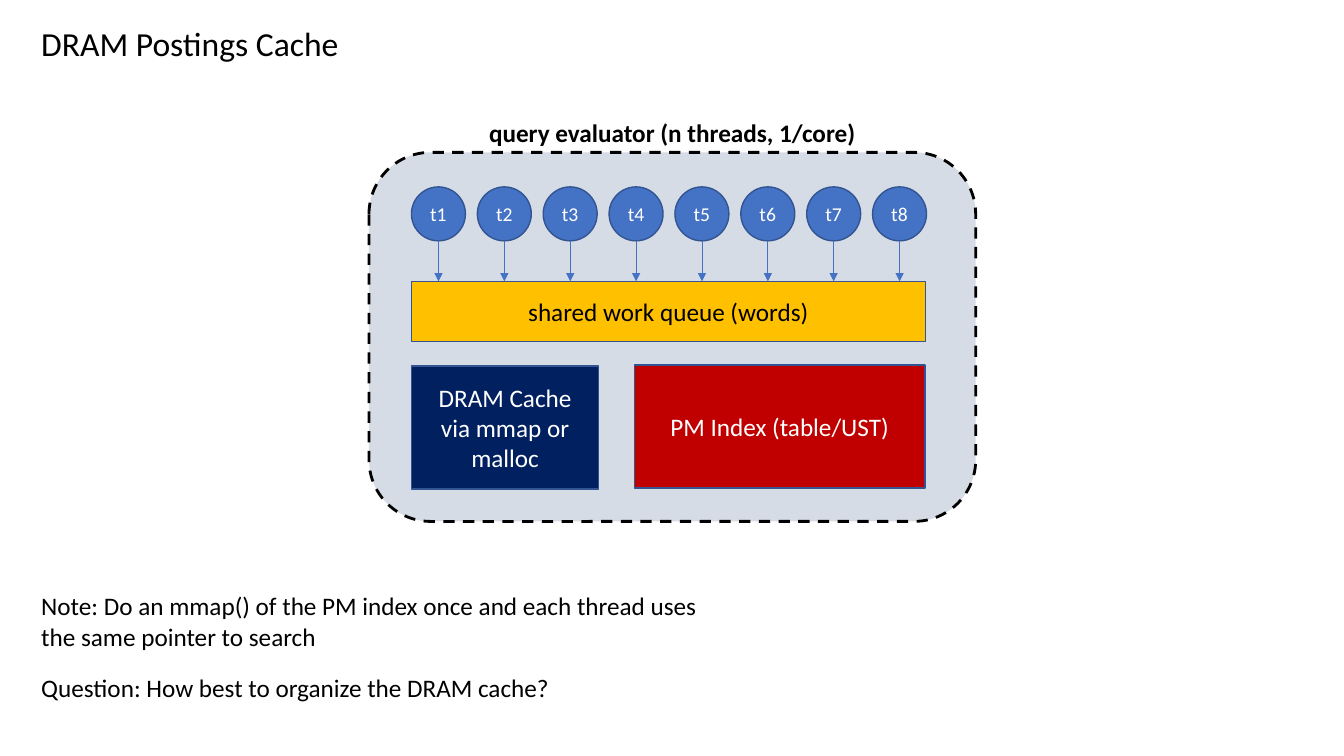
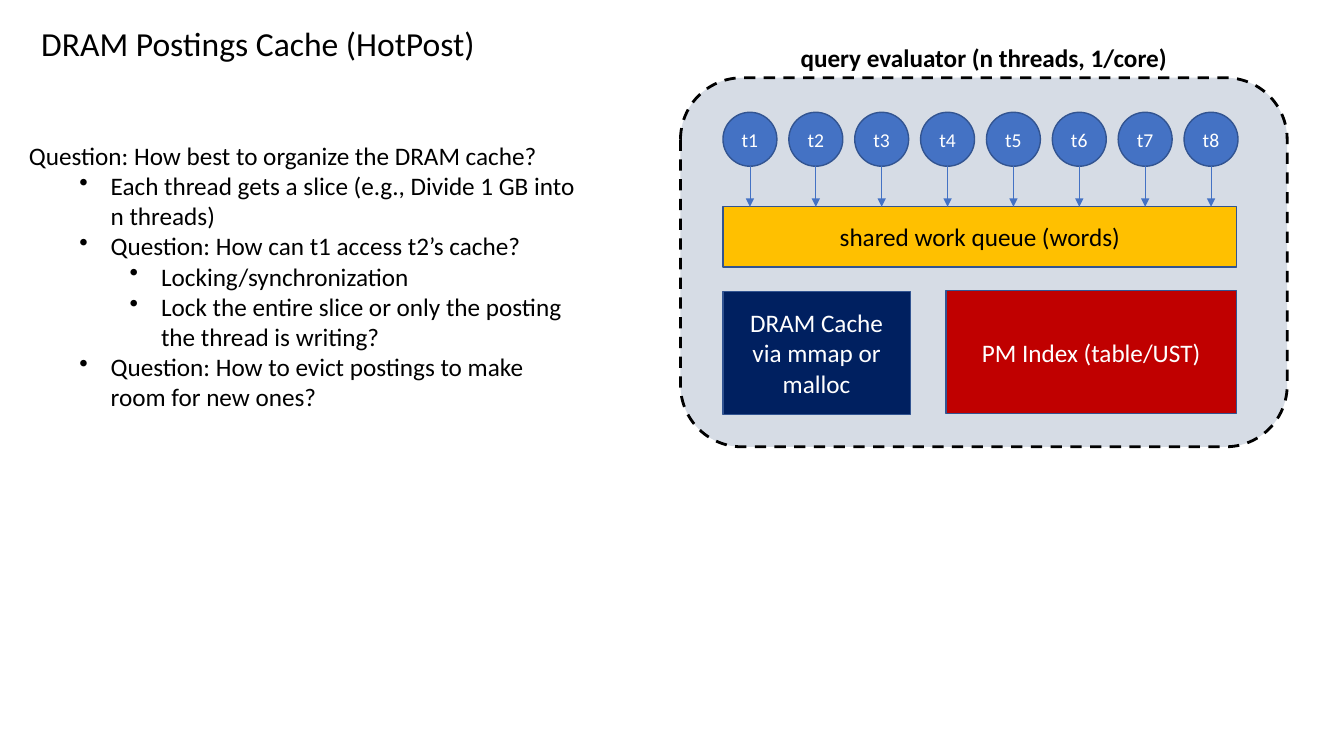
from lxml.etree import SubElement as Sub
from pptx import Presentation
from pptx.dml.color import RGBColor as Rgb
from pptx.enum.dml import MSO_LINE as Dash
from pptx.enum.shapes import MSO_CONNECTOR as Link, MSO_SHAPE as Form
from pptx.enum.text import MSO_ANCHOR as Anchor, PP_ALIGN as Align
from pptx.oxml.ns import qn
from pptx.util import Cm, Pt

HUES = {
    "ink": "000000", "white": "FFFFFF", "panel": "D6DCE5", "edge": "325491",
    "thread": "4472C4", "queue": "FFC000", "cache": "002060", "index": "C00000",
}


class Deck:
    font = {"name": "Calibri", "size": Pt(18), "bold": False}

    def __init__(self):
        self.file = Presentation()
        self.file.slide_width = Cm(33.87)
        self.file.slide_height = Cm(19.05)

    def page(self, title, width):
        self.slide = self.file.slides.add_slide(self.file.slide_layouts[6])
        self.text((0.79, 0.46, width, 1.28), [(0, title)], size=Pt(24))

    def style(self, par, hue, align, **extra):
        par.alignment = align
        par.font.color.rgb = Rgb.from_string(HUES[hue])
        for key, value in {**self.font, **extra}.items():
            setattr(par.font, key, value)

    def text(self, area, lines, align=Align.LEFT, **extra):
        frame = self.slide.shapes.add_textbox(*map(Cm, area)).text_frame
        frame.word_wrap = True
        for row, (level, words) in enumerate(lines):
            par = frame.add_paragraph() if row else frame.paragraphs[0]
            par.text = words
            self.style(par, "ink", align, **extra)
            if level:
                self.bullet(par, level)

    def bullet(self, par, level):
        par.level = level
        props = par._p.get_or_add_pPr()
        props.set("marL", str(Cm(0.79 + 1.27 * level)))
        props.set("indent", str(Cm(-0.79)))
        Sub(props, qn("a:buChar")).set("char", "•")

    def shape(self, form, area, fill, words="", hue="white", edge="edge",
              width=1, dash=None, **extra):
        item = self.slide.shapes.add_shape(form, *map(Cm, area))
        item.shadow.inherit = False
        item.fill.solid()
        item.fill.fore_color.rgb = Rgb.from_string(HUES[fill])
        item.line.color.rgb = Rgb.from_string(HUES[edge])
        item.line.width = Pt(width)
        if dash:
            item.line.dash_style = dash
        if words:
            frame = item.text_frame
            frame.word_wrap = form != Form.OVAL
            frame.vertical_anchor = Anchor.MIDDLE
            frame.text = words
            self.style(frame.paragraphs[0], hue, Align.CENTER, **extra)

    def arrow(self, x, top, end):
        line = self.slide.shapes.add_connector(
            Link.STRAIGHT, *map(Cm, (x, top, x, end)))
        line.line.color.rgb = Rgb.from_string(HUES["thread"])
        line.line.width = Pt(0.5)
        Sub(line.line._get_or_add_ln(), qn("a:tailEnd")).set("type", "triangle")
        Sub(line._element.spPr, qn("a:effectLst"))

    def engine(self, x, y):
        left, size, step = x + 1.07, 1.36, 1.66
        top, queue = y + 0.87, y + 3.25
        self.shape(Form.ROUNDED_RECTANGLE, (x, y, 15.29, 9.3), "panel",
                   edge="ink", width=2, dash=Dash.DASH)
        self.text((x, y - 1.02, 15.29, 1.02),
                  [(0, "query evaluator (n threads, 1/core)")],
                  Align.CENTER, bold=True)
        self.shape(Form.RECTANGLE, (left, queue, 12.95, 1.52), "queue",
                   "shared work queue (words)", "ink")
        for num in range(8):
            start = left + num * step
            self.shape(Form.OVAL, (start, top, size, size), "thread",
                       f"t{num + 1}", size=Pt(14))
            self.arrow(start + size / 2, top + size, queue)
        self.shape(Form.RECTANGLE, (left, y + 5.38, 4.72, 3.1), "cache",
                   "DRAM Cache via mmap or malloc")
        self.shape(Form.RECTANGLE, (x + 6.69, y + 5.36, 7.32, 3.1), "index",
                   "PM Index (table/UST)")


def main():
    deck = Deck()
    ask = (0, "Question: How best to organize the DRAM cache?")

    deck.page("DRAM Postings Cache", 8.08)
    deck.engine(9.3, 3.84)
    deck.text((0.79, 14.76, 17.58, 1.8), [
        (0, "Note: Do an mmap() of the PM index once and each thread uses "
            "the same pointer to search")])
    deck.text((0.79, 16.81, 17.58, 1.02), [ask])

    deck.page("DRAM Postings Cache (HotPost)", 12.34)
    deck.engine(17.15, 1.96)
    deck.text((0.48, 3.4, 14.4, 7.19), [
        ask,
        (1, "Each thread gets a slice (e.g., Divide 1 GB into n threads)"),
        (1, "Question: How can t1 access t2’s cache?"),
        (2, "Locking/synchronization"),
        (2, "Lock the entire slice or only the posting the thread is writing?"),
        (1, "Question: How to evict postings to make room for new ones?"),
    ])
    deck.file.save("out.pptx")


if __name__ == "__main__":
    main()
